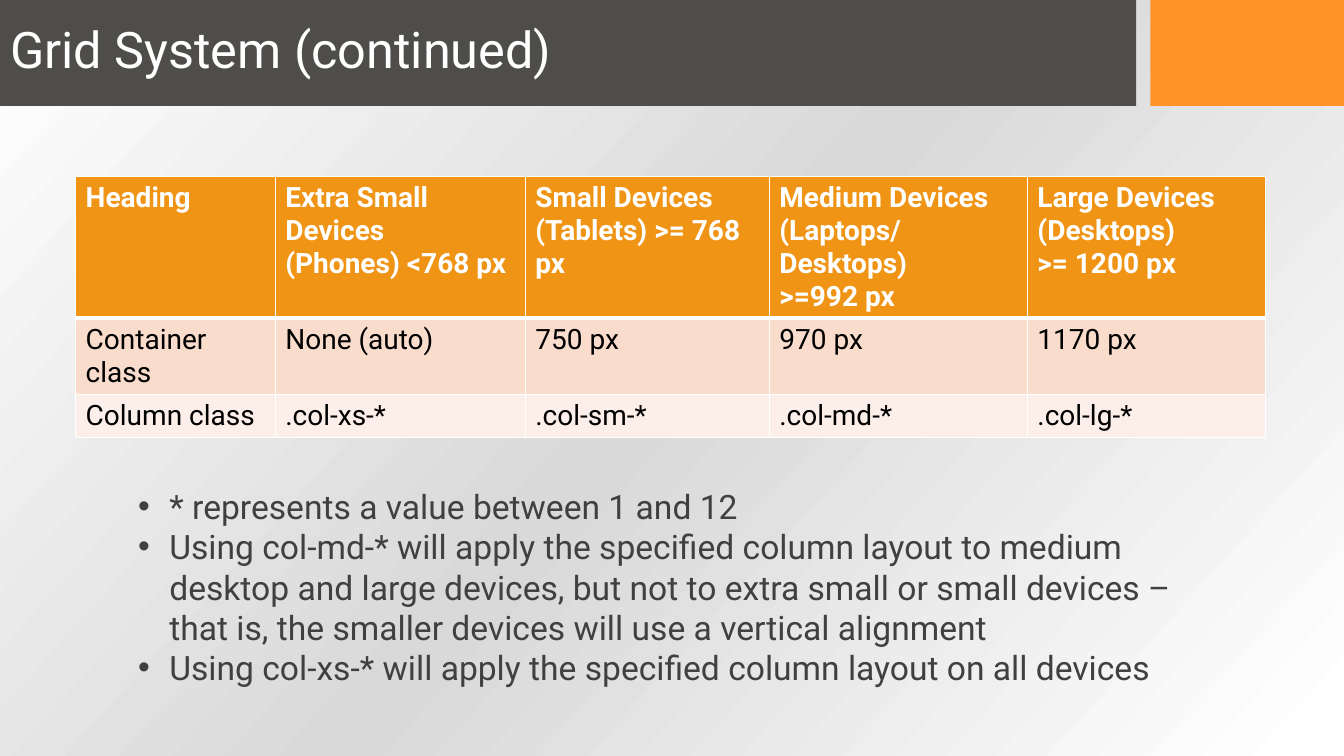
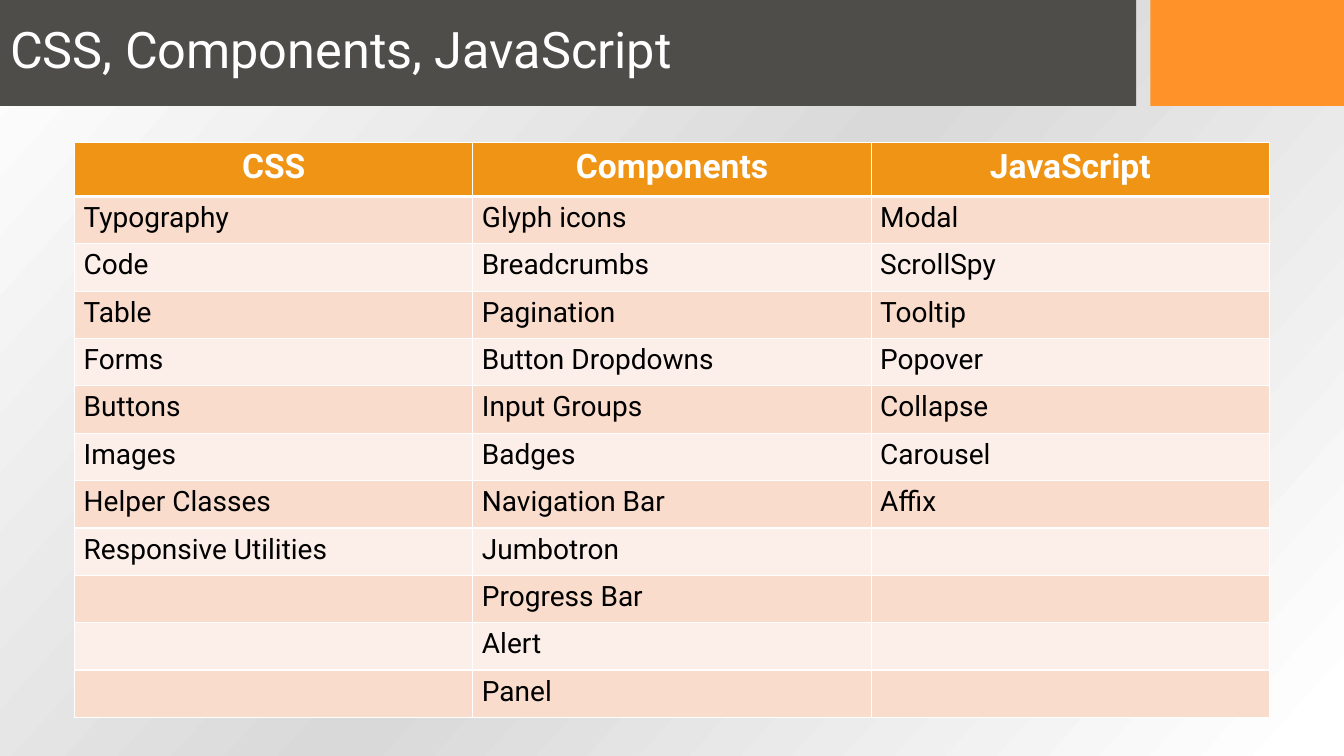
import dataclasses
import itertools

import lxml.etree
import pptx
import pptx.dml.color
import pptx.enum.shapes
import pptx.enum.text
import pptx.oxml.ns
import pptx.util

Inches = pptx.util.Inches
Pt = pptx.util.Pt
qn = pptx.oxml.ns.qn
ALIGN = pptx.enum.text.PP_ALIGN
ANCHOR = pptx.enum.text.MSO_ANCHOR


@dataclasses.dataclass(frozen=True)
class Theme:
    font: str = "Roboto"
    white: str = "FFFFFF"
    black: str = "000000"
    body: str = "404040"
    band: str = "4E4D4A"
    accent: str = "FF9228"
    header: str = "F09415"
    stripes: tuple = ("F9DCCC", "FCEEE8")
    backdrop: tuple = ((0, "FFFFFF"), (50, "D9D9D9"), (98, "FFFFFF"))
    backdrop_angle: int = 318
    title_size: int = 36
    large: int = 24
    small: int = 20
    grid_line: int = 1
    header_line: int = 3


THEME = Theme()
BAND_TOP, BAND_HEIGHT = -0.01, 1.06
BANDS = ((0, 11.27, THEME.band), (11.41, 1.92, THEME.accent))

GRID_ROWS = (
    ("Heading", "Extra Small Devices\n(Phones) <768 px",
     "Small Devices\v(Tablets) >= 768 px",
     "Medium Devices\n(Laptops/Desktops)\n>=992 px",
     "Large Devices\n(Desktops)\n>= 1200 px"),
    ("Container class", "None (auto)", "750 px", "970 px", "1170 px"),
    ("Column class", ".col-xs-*", ".col-sm-*", ".col-md-*", ".col-lg-*"),
)
GRID_NOTES = (
    "* represents a value between 1 and 12",
    "Using col-md-* will apply the specified column layout to medium desktop "
    "and large devices, but not to extra small or small devices – that is, "
    "the smaller devices will use a vertical alignment",
    "Using col-xs-* will apply the specified column layout on all devices",
)
FEATURES = (
    ("CSS", "Typography", "Code", "Table", "Forms", "Buttons", "Images",
     "Helper Classes", "Responsive Utilities"),
    ("Components", "Glyph icons", "Breadcrumbs", "Pagination",
     "Button Dropdowns", "Input Groups", "Badges", "Navigation Bar",
     "Jumbotron", "Progress Bar", "Alert", "Panel"),
    ("JavaScript", "Modal", "ScrollSpy", "Tooltip", "Popover", "Collapse",
     "Carousel", "Affix"),
)


def rgb(color):
    return pptx.dml.color.RGBColor.from_string(color)


def apply(obj, values):
    for name, value in values.items():
        setattr(obj, name, value)


def place(sp, left, top, width, height):
    box = dict(left=left, top=top, width=width, height=height)
    apply(sp, {name: Inches(value) for name, value in box.items()})


def format_text(tf, size, color, bold=False, **paragraph):
    for p in tf.paragraphs:
        apply(p, paragraph)
        for r in p.runs:
            apply(r.font, dict(name=THEME.font, size=Pt(size), bold=bold))
            r.font.color.rgb = rgb(color)


def set_backdrop(master):
    fill = master.background.fill
    fill.gradient()
    fill.gradient_angle = THEME.backdrop_angle
    stops = next(master._element.iter(qn("a:gsLst")))
    for gs in list(stops):
        stops.remove(gs)
    for position, color in THEME.backdrop:
        gs = lxml.etree.SubElement(stops, qn("a:gs"), pos=str(position * 1000))
        lxml.etree.SubElement(gs, qn("a:srgbClr"), val=color)


def add_bands(master, slide):
    tree = master.shapes._spTree
    for i, (left, width, color) in enumerate(BANDS):
        sp = slide.shapes.add_shape(
            pptx.enum.shapes.MSO_SHAPE.RECTANGLE, Inches(left),
            Inches(BAND_TOP), Inches(width), Inches(BAND_HEIGHT))
        sp.shadow.inherit = False
        sp.fill.solid()
        sp.fill.fore_color.rgb = rgb(color)
        sp.line.fill.background()
        sp._element.nvSpPr.cNvPr.set("id", str(100 + i))
        tree.insert(2 + i, sp._element)


def add_slide(prs, layout, title):
    slide = prs.slides.add_slide(prs.slide_layouts.get_by_name(layout))
    sp = slide.shapes.title
    place(sp, 0, BAND_TOP, 11.26, BAND_HEIGHT)
    tf = sp.text_frame
    tf.text = title
    apply(tf, dict(vertical_anchor=ANCHOR.MIDDLE, word_wrap=True))
    format_text(tf, THEME.title_size, THEME.white,
                alignment=ALIGN.LEFT, line_spacing=0.9)
    return slide


def fill_bullets(sp, items, box, indent=0.31):
    place(sp, *box)
    tf = sp.text_frame
    tf.text = "\n".join(items)
    apply(tf, dict(word_wrap=True, vertical_anchor=ANCHOR.TOP,
                   auto_size=pptx.enum.text.MSO_AUTO_SIZE.NONE))
    format_text(tf, THEME.large, THEME.body, space_before=Pt(0))
    for p in tf.paragraphs:
        pPr = p._p.get_or_add_pPr()
        pPr.set("marL", str(Inches(indent)))
        pPr.set("indent", str(-Inches(indent)))
        lxml.etree.SubElement(pPr, qn("a:buFont"), typeface="Arial")
        lxml.etree.SubElement(pPr, qn("a:buChar"), char="•")


def set_borders(cell, **widths):
    tcPr = cell._tc.get_or_add_tcPr()
    for side in "LRTB":
        ln = lxml.etree.SubElement(
            tcPr, qn("a:ln" + side),
            w=str(Pt(widths.get(side, THEME.grid_line))))
        fill = lxml.etree.SubElement(ln, qn("a:solidFill"))
        lxml.etree.SubElement(fill, qn("a:srgbClr"), val=THEME.white)


def add_table(slide, rows, left, top, widths, heights, header_size,
              header_align=ALIGN.LEFT, margin=0.1):
    table = slide.shapes.add_table(
        len(rows), len(widths), Inches(left), Inches(top),
        Inches(sum(widths)), Inches(sum(heights))).table
    for column, width in zip(table.columns, widths):
        column.width = Inches(width)
    for row, height in zip(table.rows, heights):
        row.height = Inches(height)
    for i, j in itertools.product(range(len(rows)), range(len(widths))):
        cell = table.cell(i, j)
        apply(cell, dict(text=rows[i][j], margin_left=Inches(margin),
                         margin_right=Inches(margin)))
        if i == 0:
            set_borders(cell, B=THEME.header_line)
            color = THEME.header
            format_text(cell.text_frame, header_size, THEME.white, True,
                        alignment=header_align)
        else:
            set_borders(cell, **({"T": THEME.header_line} if i == 1 else {}))
            color = THEME.stripes[(i - 1) % 2]
            format_text(cell.text_frame, THEME.small, THEME.black)
        cell.fill.solid()
        cell.fill.fore_color.rgb = rgb(color)


def add_grid_slide(prs):
    slide = add_slide(prs, "Title and Content", "Grid System (continued)")
    add_table(slide, GRID_ROWS, 0.75, 1.75, (1.98, 2.48, 2.42, 2.56, 2.36),
              [0.41] * len(GRID_ROWS), THEME.small)
    fill_bullets(slide.placeholders[1], GRID_NOTES, (1.27, 4.77, 10.75, 2.12))
    return slide


def add_features_slide(prs):
    slide = add_slide(prs, "Title Only", "CSS, Components, JavaScript")
    rows = list(itertools.zip_longest(*FEATURES, fillvalue=""))
    add_table(slide, rows, 0.74, 1.41, [3.95] * len(FEATURES),
              [0.54] + [0.47] * (len(rows) - 1), THEME.large,
              ALIGN.CENTER, margin=0.09)


def main():
    prs = pptx.Presentation()
    apply(prs, dict(slide_width=Inches(13.33), slide_height=Inches(7.5)))
    set_backdrop(prs.slide_master)
    grid_slide = add_grid_slide(prs)
    add_bands(prs.slide_master, grid_slide)
    add_features_slide(prs)
    prs.save("out.pptx")


if __name__ == "__main__":
    main()
